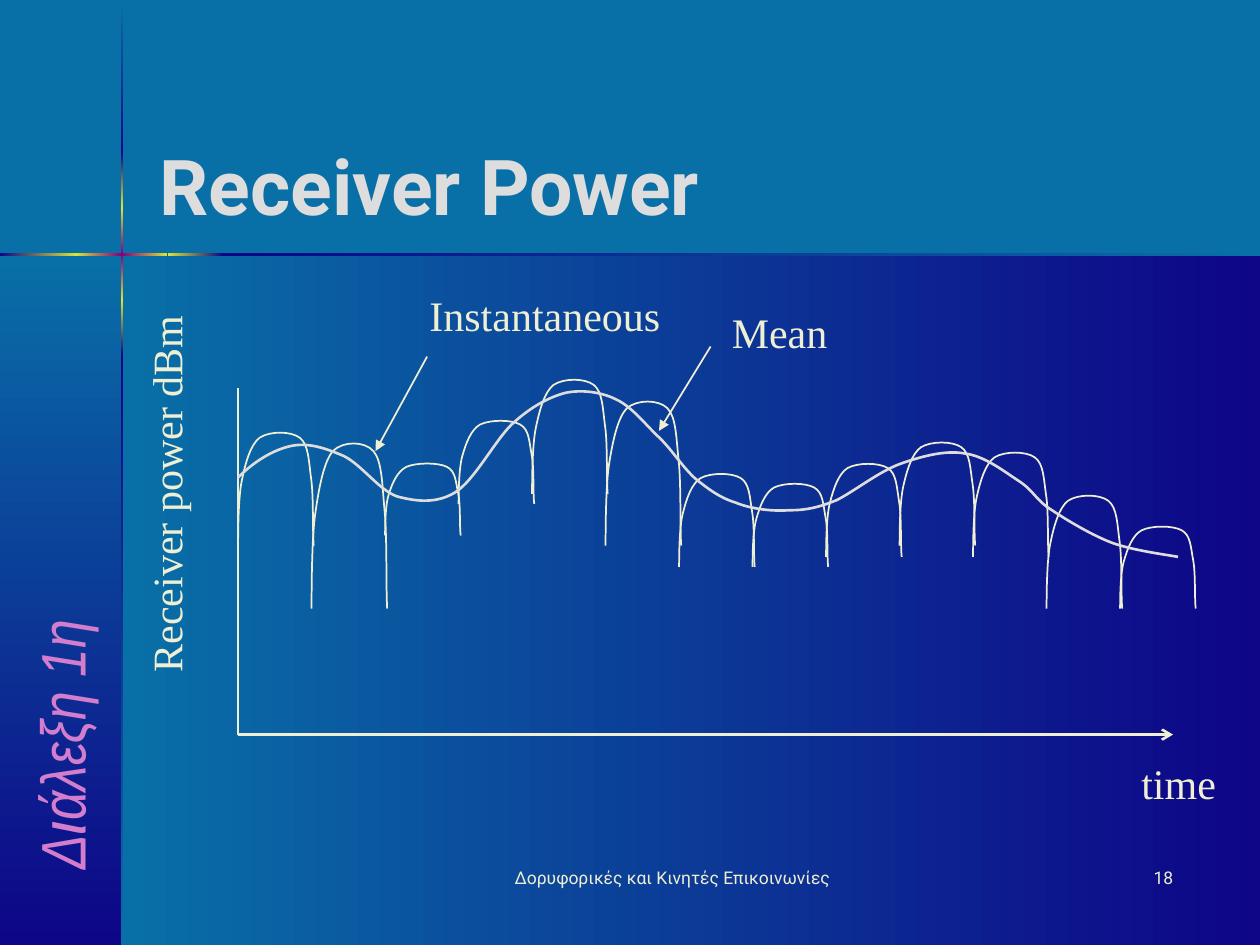
from dataclasses import dataclass

import lxml.etree
import pptx
import pptx.dml.color
import pptx.enum.shapes
import pptx.enum.text
import pptx.oxml
import pptx.oxml.ns
import pptx.util
from pptx.util import Inches

COLORS = {
    "sky": "096FA7", "navy": "0E0587", "yellow": "DEE634", "purple": "800080",
    "cream": "EEEFD3", "silver": "DDDDDD", "pink": "D37DCD",
}
Align = pptx.enum.text.PP_ALIGN
Anchor = pptx.enum.text.MSO_ANCHOR
qn = pptx.oxml.ns.qn
Point = tuple[float, float]


@dataclass
class Band:
    left: float
    top: float
    width: float
    height: float
    angle: int
    stops: tuple[str, ...]


@dataclass
class Label:
    text: str
    left: float
    top: float
    width: float
    height: float = 0.5
    size: int = 24
    font: str = "Times New Roman"
    color: str = "cream"
    bold: bool = False
    italic: bool = False
    rotation: int = 0
    wrap: bool = False
    align: Align = Align.LEFT
    anchor: Anchor = Anchor.TOP


@dataclass
class Line:
    start: Point
    end: Point
    width: float = 1
    head: str = ""


def rgb(name: str) -> pptx.dml.color.RGBColor:
    return pptx.dml.color.RGBColor.from_string(COLORS[name])


def add_band(slide, band: Band) -> None:
    """Rectangle filled with evenly spaced gradient stops."""
    shape = slide.shapes.add_shape(
        pptx.enum.shapes.MSO_SHAPE.RECTANGLE,
        *map(Inches, (band.left, band.top, band.width, band.height)))
    shape.shadow.inherit = False
    shape.line.fill.background()
    last = len(band.stops) - 1
    stops = "".join(
        f'<a:gs pos="{100000 * i // last}"><a:srgbClr val="{COLORS[name]}"/></a:gs>'
        for i, name in enumerate(band.stops))
    gradient = pptx.oxml.parse_xml(
        f'<a:gradFill {pptx.oxml.ns.nsdecls("a")}><a:gsLst>{stops}</a:gsLst>'
        f'<a:lin ang="{band.angle * 60000}" scaled="0"/></a:gradFill>')
    shape.element.spPr.find(qn("a:prstGeom")).addnext(gradient)


def add_label(slide, label: Label) -> None:
    box = slide.shapes.add_textbox(
        *map(Inches, (label.left, label.top, label.width, label.height)))
    box.rotation = label.rotation
    frame = box.text_frame
    frame.word_wrap = label.wrap
    frame.vertical_anchor = label.anchor
    paragraph = frame.paragraphs[0]
    paragraph.alignment = label.align
    run = paragraph.add_run()
    run.text = label.text
    run.font.name = label.font
    run.font.size = pptx.util.Pt(label.size)
    run.font.bold = label.bold
    run.font.italic = label.italic
    run.font.color.rgb = rgb(label.color)


def add_line(slide, line: Line) -> None:
    connector = slide.shapes.add_connector(
        pptx.enum.shapes.MSO_CONNECTOR.STRAIGHT,
        *map(Inches, (*line.start, *line.end)))
    connector.line.color.rgb = rgb("cream")
    connector.line.width = pptx.util.Pt(line.width)
    if line.head:
        lxml.etree.SubElement(connector.line._get_or_add_ln(), qn("a:tailEnd"), type=line.head)
    lxml.etree.SubElement(connector.element.spPr, qn("a:effectLst"))


def add_curve(slide, points: list[Point], color: str, width: float) -> None:
    """Open cubic curve: a start point, then three points per segment."""
    start, *rest = [(Inches(x), Inches(y)) for x, y in points]
    builder = slide.shapes.build_freeform(*start)
    builder.add_line_segments(rest, close=False)
    curve = builder.convert_to_shape()
    # Join each three straight steps into one cubic segment
    steps = list(curve.element.iter(qn("a:lnTo")))
    for i in range(0, len(steps), 3):
        cubic = lxml.etree.Element(qn("a:cubicBezTo"))
        steps[i].addprevious(cubic)
        for step in steps[i:i + 3]:
            cubic.append(step[0])
            step.getparent().remove(step)
    curve.shadow.inherit = False
    curve.fill.background()
    curve.line.color.rgb = rgb(color)
    curve.line.width = pptx.util.Pt(width)


# Background panels and the glowing cross where they meet
GLOW = ("yellow", "purple", "yellow")
BANDS = [
    Band(0.97, 2.02, 9.03, 5.48, 180, ("navy", "sky")),
    Band(0, 2.02, 0.97, 5.48, 90, ("sky", "navy")),
    Band(0.96, 0.01, 0.02, 1.21, 90, ("sky", "navy")),
    Band(0.96, 2.82, 0.02, 4.68, 90, ("navy", "sky")),
    Band(1.77, 2.01, 8.23, 0.02, 180, ("sky", "navy")),
    Band(0.96, 2.38, 0.02, 0.44, 90, ("yellow", "navy")),
    Band(0.96, 1.21, 0.02, 0.44, 90, ("navy", "yellow")),
    Band(0.96, 1.65, 0.02, 0.73, 90, GLOW),
    Band(0, 2.01, 0.61, 0.02, 180, ("yellow", "navy")),
    Band(1.33, 2.01, 0.44, 0.02, 180, ("navy", "yellow")),
    Band(0.6, 2.01, 0.73, 0.02, 180, GLOW),
]

# Axes, then the pointers from the labels to the curves
ORIGIN = (1.89, 5.83)
LINES = [
    Line(ORIGIN, (9.31, 5.83), 1.5, "arrow"),
    Line(ORIGIN, (1.89, 3.08), 1.5),
    Line((3.39, 2.83), (2.98, 3.58), head="triangle"),
    Line((5.64, 2.75), (5.23, 3.42), head="triangle"),
]

# One fade: x in inches from its left, y as a share of its height
FADE = [
    (0, 1), (0, 0.91), (0, 0.58), (0.03, 0.43), (0.06, 0.27), (0.1, 0.12),
    (0.17, 0.06), (0.25, 0), (0.42, 0), (0.49, 0.06), (0.56, 0.12),
    (0.56, 0.26), (0.58, 0.42), (0.6, 0.58), (0.59, 0.88), (0.6, 1),
]
FADE_STEP = 7 / 12
# Top and bottom of each fade in time order
FADE_SPANS = [
    (3.42, 4.33), (3.5, 4.83), (3.67, 4.25), (3.33, 4), (3, 3.92),
    (3.17, 4.33), (3.75, 4.5), (3.83, 4.5), (3.67, 4.42), (3.5, 4.33),
    (3.58, 4.42), (3.92, 4.83), (4.17, 4.83),
]

MEAN_POWER = [
    (1.89, 3.79), (2.02, 3.66), (2.17, 3.57), (2.31, 3.54), (2.45, 3.51), (2.59, 3.56),
    (2.73, 3.62), (2.87, 3.69), (3.01, 3.89), (3.15, 3.94), (3.3, 3.98), (3.46, 4),
    (3.61, 3.91), (3.76, 3.82), (3.92, 3.51), (4.06, 3.37), (4.2, 3.24), (4.34, 3.16),
    (4.48, 3.12), (4.61, 3.09), (4.77, 3.11), (4.89, 3.17), (5.02, 3.23), (5.13, 3.38),
    (5.24, 3.48), (5.34, 3.58), (5.42, 3.71), (5.52, 3.8), (5.62, 3.88), (5.71, 3.95),
    (5.84, 3.99), (5.96, 4.04), (6.13, 4.06), (6.26, 4.05), (6.4, 4.05), (6.49, 4.03),
    (6.64, 3.97), (6.78, 3.9), (6.98, 3.74), (7.15, 3.68), (7.32, 3.62), (7.51, 3.57),
    (7.66, 3.6), (7.82, 3.62), (7.98, 3.75), (8.09, 3.82), (8.21, 3.9), (8.22, 3.97),
    (8.35, 4.05), (8.47, 4.13), (8.67, 4.25), (8.83, 4.31), (9, 4.37), (9.24, 4.4),
    (9.35, 4.42),
]

LABELS = [
    Label("Receiver Power", 1.17, 0.68, 8.25, 1.57, 44, "Roboto", "silver",
          bold=True, wrap=True, anchor=Anchor.MIDDLE),
    Label("time", 8.96, 5.96, 0.79),
    Label("Receiver power dBm", -0.2, 3.67, 3.03, rotation=270),
    Label("Instantaneous", 3.31, 2.25, 2.11),
    Label("Mean", 5.71, 2.38, 1.04),
    Label("Διάλεξη 1η", -1.42, 4.75, 3.83, 0.67, 36, "Arial Narrow", "pink",
          italic=True, rotation=270, wrap=True, anchor=Anchor.BOTTOM),
    Label("Δορυφορικές και Κινητές Επικοινωνίες", 3.75, 6.83, 3.17, size=10,
          font="Roboto", wrap=True, align=Align.CENTER),
    Label("18", 7.33, 6.83, 2.08, size=10, font="Roboto", wrap=True, align=Align.RIGHT),
]


def main() -> None:
    deck = pptx.Presentation()
    deck.slide_width, deck.slide_height = Inches(10), Inches(7.5)
    slide = deck.slides.add_slide(deck.slide_layouts[6])
    slide.background.fill.solid()
    slide.background.fill.fore_color.rgb = rgb("sky")
    for band in BANDS:
        add_band(slide, band)
    for line in LINES:
        add_line(slide, line)
    # Instantaneous power, then its mean
    for i, (top, bottom) in enumerate(FADE_SPANS):
        left = ORIGIN[0] + i * FADE_STEP
        fade = [(left + x, top + y * (bottom - top)) for x, y in FADE]
        add_curve(slide, fade, "cream", 1)
    add_curve(slide, MEAN_POWER, "silver", 1.5)
    for label in LABELS:
        add_label(slide, label)
    deck.save("out.pptx")


if __name__ == "__main__":
    main()
